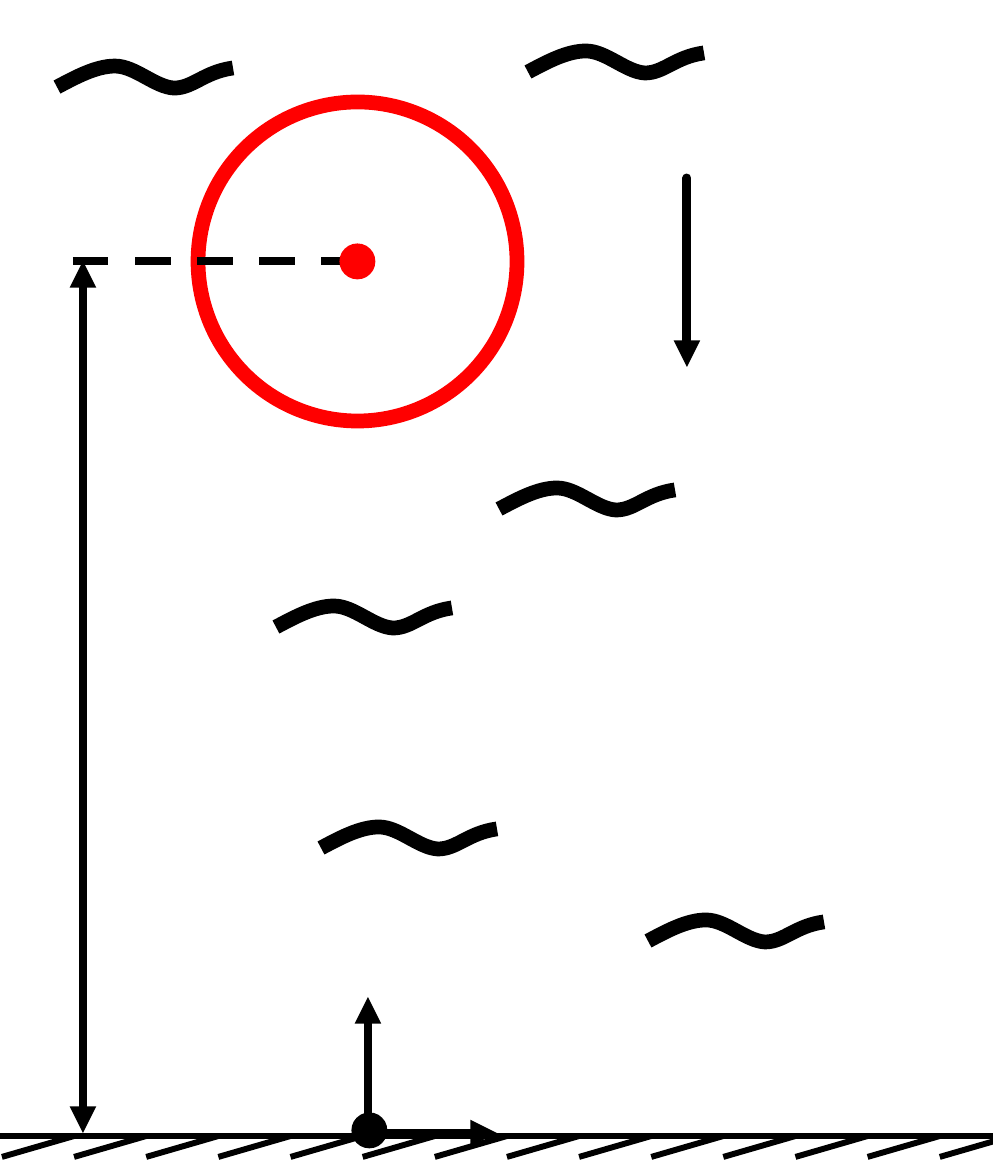
from dataclasses import dataclass

from lxml import etree
from pptx import Presentation
from pptx.dml.color import RGBColor
from pptx.enum.dml import MSO_LINE
from pptx.enum.shapes import MSO_CONNECTOR, MSO_SHAPE
from pptx.oxml.ns import qn
from pptx.util import Emu, Pt

PX = 4301
WIDTH, HEIGHT = 993, 1176
OVAL = MSO_SHAPE.OVAL
STRAIGHT = MSO_CONNECTOR.STRAIGHT
DASH = MSO_LINE.DASH
BLANK = 6
HATCHES = 14


@dataclass(frozen=True)
class Theme:
    """Colours and line widths of the diagram."""
    ink: RGBColor = RGBColor(0, 0, 0)
    ball: RGBColor = RGBColor(255, 0, 0)
    outline: int = 1
    ground: int = 2
    arrow: int = 3
    bold: int = 5


THEME = Theme()
WAVE = [
    (0, 21),
    (19, 11), (39, 0), (58, 0),
    (78, 0), (98, 21), (117, 22),
    (136, 22), (147, 6), (176, 2),
]
WAVE_SPOTS = [(499, 488), (276, 606), (57, 66), (528, 51), (648, 920), (321, 827)]


def px(n):
    """Turn px into EMU."""
    return Emu(round(n * PX))


def set_line(s, color, width):
    """Give a shape or connector a solid line."""
    s.line.color.rgb = color
    s.line.width = Pt(width)


def add_line(shapes, start, end, width, ends=(), dash=None):
    """Draw a straight line with optional arrowheads or dashes."""
    s = shapes.add_connector(STRAIGHT, *map(px, start + end))
    set_line(s, THEME.ink, width)
    if dash:
        s.line.dash_style = dash
    ln = s.line._get_or_add_ln()
    if ends:
        ln.set("cap", "rnd")
    for tag in ends:
        etree.SubElement(ln, qn(f"a:{tag}")).set("type", "triangle")
    etree.SubElement(s._element.spPr, qn("a:effectLst"))


def add_circle(shapes, left, top, size, color, width, filled=True):
    """Draw a ring or a filled dot."""
    s = shapes.add_shape(OVAL, px(left), px(top), px(size), px(size))
    s.shadow.inherit = False
    if filled:
        s.fill.solid()
        s.fill.fore_color.rgb = color
    else:
        s.fill.background()
    set_line(s, color, width)


def bend(s):
    """Turn every three line segments of a freeform into one cubic curve."""
    segments = list(s._element.iter(qn("a:lnTo")))
    for i in range(0, len(segments), 3):
        first, *others = segments[i:i + 3]
        curve = etree.Element(qn("a:cubicBezTo"))
        first.addprevious(curve)
        for segment in (first, *others):
            curve.append(segment[0])
            segment.getparent().remove(segment)


def add_wave(shapes, left, top):
    """Draw one wave mark with its top left at the given point."""
    points = [(px(left + x), px(top + y)) for x, y in WAVE]
    builder = shapes.build_freeform(*points[0])
    builder.add_line_segments(points[1:], close=False)
    s = builder.convert_to_shape()
    bend(s)
    s.shadow.inherit = False
    s.fill.background()
    set_line(s, THEME.ink, THEME.bold)


def add_ground(shapes, left, top, width, height):
    """Draw the ground line and its hatching as one group."""
    group = shapes.add_group_shape().shapes
    pitch = width / HATCHES
    add_line(group, (0, top), (left + width + 147, top), THEME.ground)
    for i in range(HATCHES):
        x = left + i * pitch
        add_line(group, (x + pitch, top), (x, top + height), THEME.ground)


def add_ball(shapes, left, top, size):
    """Draw the ball's ring."""
    add_circle(shapes, left, top, size, THEME.ball, THEME.bold, filled=False)


def add_height(shapes, left, top, width):
    """Draw the dashed height line and the ball's centre."""
    add_line(shapes, (left, top), (left + width, top), THEME.arrow, dash=DASH)
    add_circle(shapes, left + width - 20, top - 16, 33, THEME.ball, THEME.outline)


def add_axes(shapes, left, top, width, height):
    """Draw the two axes from their shared origin."""
    origin = (left, top + height)
    for tip in ((left, top), (left + width, top + height)):
        add_line(shapes, origin, tip, THEME.arrow, ends=("tailEnd",))


def build_fall(shapes):
    """Place every part of the falling ball diagram."""
    add_ball(shapes, 198, 102, 319)
    add_line(shapes, (83, 1133), (83, 261), THEME.arrow, ends=("headEnd", "tailEnd"))
    add_axes(shapes, 368, 997, 129, 136)
    add_line(shapes, (687, 178), (687, 367), THEME.arrow, ends=("tailEnd",))
    add_ground(shapes, 2, 1136, 1010, 21)
    add_height(shapes, 73, 261, 288)
    add_circle(shapes, 353, 1114, 33, THEME.ink, THEME.outline)
    for spot in WAVE_SPOTS:
        add_wave(shapes, *spot)


def main():
    """Build and save the slide."""
    prs = Presentation()
    prs.slide_width, prs.slide_height = px(WIDTH), px(HEIGHT)
    build_fall(prs.slides.add_slide(prs.slide_layouts[BLANK]).shapes)
    prs.save("out.pptx")


if __name__ == "__main__":
    main()
